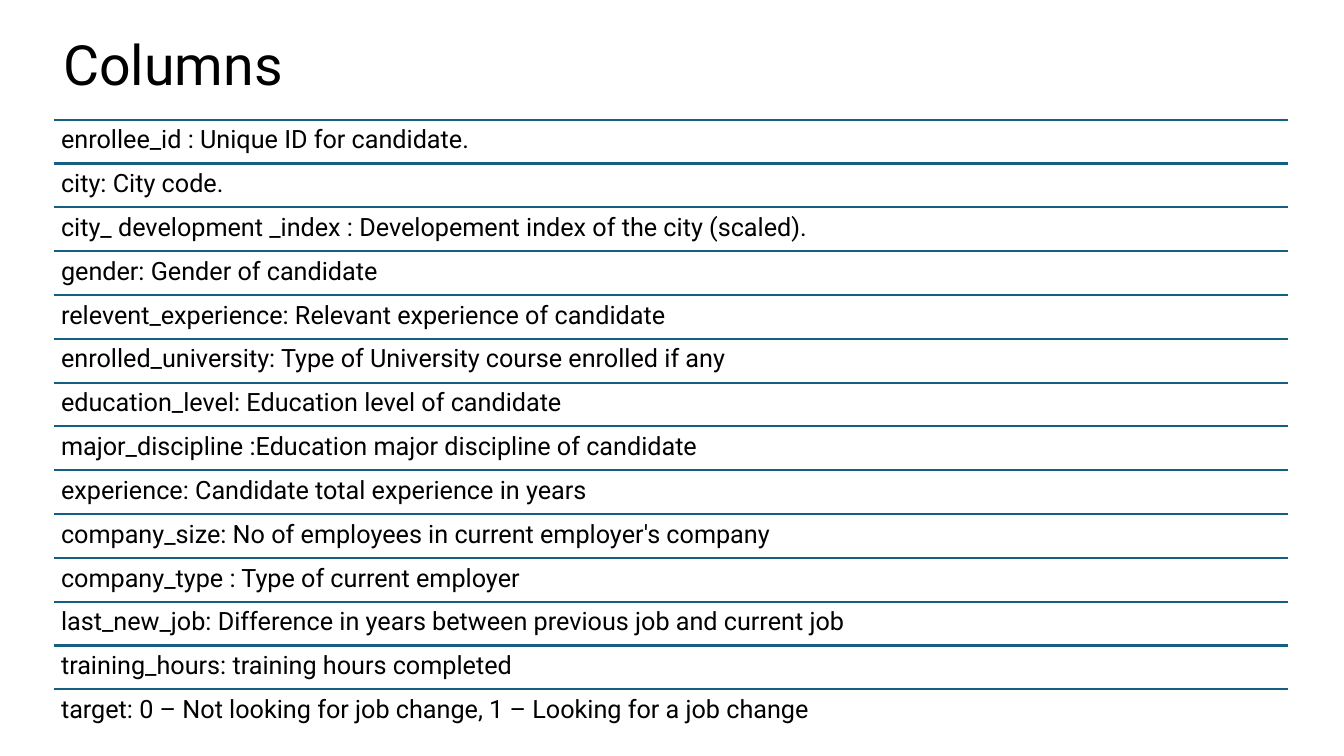
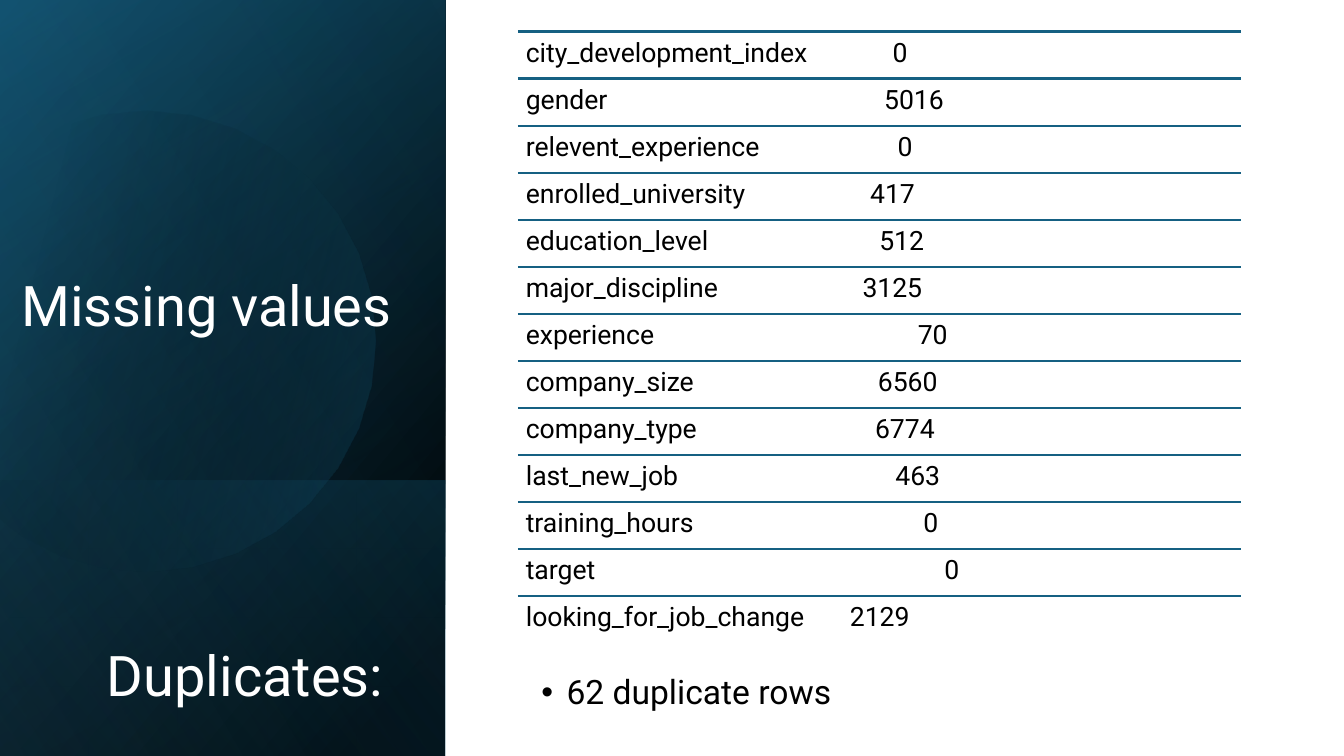
"""Build the dataset columns slide and the missing values slide."""
from dataclasses import dataclass
from math import cos, radians, sin

from lxml.etree import SubElement
from pptx import Presentation
from pptx.dml.color import RGBColor
from pptx.enum.shapes import MSO_CONNECTOR, MSO_SHAPE
from pptx.enum.text import MSO_ANCHOR, MSO_AUTO_SIZE, PP_ALIGN
from pptx.oxml.ns import qn
from pptx.util import Pt


@dataclass(frozen=True)
class Theme:
    font: str = "Roboto"
    black: str = "000000"
    white: str = "FFFFFF"
    blue: str = "156082"
    deep_blue: str = "104862"
    sky: str = "46B1E1"
    columns_title_size: float = 39.6
    title_size: float = 40
    columns_size: float = 18
    missing_size: float = 19
    bullet_size: float = 24
    rule_width: float = 1.5


theme = Theme()


def write(shape, text, bounds, size, color=theme.black, anchor=MSO_ANCHOR.MIDDLE,
          align=PP_ALIGN.LEFT):
    shape.left, shape.top, shape.width, shape.height = [Pt(length) for length in bounds]
    frame = shape.text_frame
    frame.word_wrap = True
    frame.auto_size = MSO_AUTO_SIZE.NONE
    frame.vertical_anchor = anchor
    frame.text = text
    para = frame.paragraphs[0]
    para.alignment = align
    para.line_spacing = 0.9
    para.space_before = Pt(0)
    span = para.runs[0]
    span.font.name = theme.font
    span.font.size = Pt(size)
    span.font.color.rgb = RGBColor.from_string(color)
    return para


def paint_gradient(shape, stops, angle):
    shape.shadow.inherit = False
    shape.line.fill.background()
    shape.fill.gradient()
    gradient = shape.element.spPr.find(qn("a:gradFill"))
    for child in list(gradient):
        gradient.remove(child)
    gradient.set("rotWithShape", "1")
    stop_list = SubElement(gradient, qn("a:gsLst"))
    for position, color, opacity in stops:
        stop = SubElement(stop_list, qn("a:gs"), pos=str(position * 1000))
        tint = SubElement(stop, qn("a:srgbClr"), val=color)
        if opacity < 100:
            SubElement(tint, qn("a:alpha"), val=str(opacity * 1000))
    SubElement(gradient, qn("a:lin"), ang=str(angle * 60000), scaled="0")


deck = Presentation()
deck.slide_width = Pt(960)
deck.slide_height = Pt(540)

columns_page = deck.slides.add_slide(deck.slide_layouts.get_by_name("Title Only"))
write(columns_page.shapes.title, "Columns", (38, 23.5, 828, 49), theme.columns_title_size)

missing_page = deck.slides.add_slide(deck.slide_layouts.get_by_name("Title and Content"))
shapes = missing_page.shapes

backdrop = shapes.add_shape(MSO_SHAPE.RECTANGLE, 0, 0, deck.slide_width, deck.slide_height)
backdrop.shadow.inherit = False
backdrop.fill.solid()
backdrop.fill.fore_color.rgb = RGBColor.from_string(theme.white)
backdrop.line.fill.background()

panel_width = 318
strip_top = 343
wash_layers = [
    (0, [(8, theme.black, 100), (100, theme.deep_blue, 100)], 50),
    (0, [(0, theme.black, 0), (99, theme.blue, 46)], 30),
    (strip_top, [(2, theme.blue, 29), (100, theme.black, 30)], 130),
    (0, [(0, theme.black, 0), (99, theme.sky, 11)], 120),
]
for top, stops, angle in wash_layers:
    height = 540 - top
    wash = shapes.add_shape(
        MSO_SHAPE.RECTANGLE, Pt((panel_width - height) / 2),
        Pt(top + (height - panel_width) / 2), Pt(height), Pt(panel_width))
    wash.element.spPr.find(qn("a:xfrm")).set("flipH", "1")
    wash.rotation = 90
    paint_gradient(wash, stops, angle)

    if top == strip_top:
        center_x, center_y, radius = 103, 240.5, 164.5
        arc = [radians(-118 + 268 * step / 24) for step in range(25)]
        points = [(Pt(center_x + radius * cos(turn)), Pt(center_y + radius * sin(turn)))
                  for turn in arc]
        builder = shapes.build_freeform(*points[0])
        builder.add_line_segments(points[1:], close=True)
        disc = builder.convert_to_shape()
        disc.rotation = 343.9
        paint_gradient(disc, [(29, theme.black, 0), (100, theme.blue, 43)], 30)

for placeholder in list(missing_page.placeholders):
    shapes.element.append(placeholder.element)

write(shapes.title, "Missing values", (-1, 167.5, 297, 78), theme.title_size,
      theme.white, MSO_ANCHOR.BOTTOM, PP_ALIGN.CENTER)
write(shapes.add_textbox(0, 0, 0, 0), "Duplicates:", (49, 392, 252, 118),
      theme.title_size, theme.white, MSO_ANCHOR.BOTTOM, PP_ALIGN.CENTER)
bullet = write(missing_page.placeholders[1], "62 duplicate rows", (379.5, 476.5, 414, 38),
               theme.bullet_size)
properties = bullet._p.get_or_add_pPr()
properties.set("marL", str(Pt(18)))
properties.set("indent", str(Pt(-18)))
SubElement(properties, qn("a:buFont"), typeface="Arial")
SubElement(properties, qn("a:buChar"), char="•")

columns = [
    "enrollee_id : Unique ID for candidate.",
    "city: City code.",
    "city_ development _index : Developement index of the city (scaled).",
    "gender: Gender of candidate",
    "relevent_experience: Relevant experience of candidate",
    "enrolled_university: Type of University course enrolled if any",
    "education_level: Education level of candidate",
    "major_discipline :Education major discipline of candidate",
    "experience: Candidate total experience in years",
    "company_size: No of employees in current employer's company",
    "company_type : Type of current employer",
    "last_new_job: Difference in years between previous job and current job",
    "training_hours: training hours completed",
    "target: 0 – Not looking for job change, 1 – Looking for a job change",
]
missing_counts = [
    ("city_development_index", 0, 262),
    ("gender", 5016, 256),
    ("relevent_experience", 0, 265.5),
    ("enrolled_university", 417, 246),
    ("education_level", 512, 252.5),
    ("major_discipline", 3125, 240.5),
    ("experience", 70, 280),
    ("company_size", 6560, 251.5),
    ("company_type", 6774, 249.5),
    ("last_new_job", 463, 264),
    ("training_hours", 0, 284),
    ("target", 0, 299),
    ("looking_for_job_change", 2129, 231.5),
]
ruled_lists = [
    (columns_page, 38.3, 85.5, 882, 31.3, 5.3, theme.columns_size,
     [(text, None) for text in columns]),
    (missing_page, 370, 22.5, 516.3, 33.6, 5.6, theme.missing_size,
     [(f"{name}\t{count}", stop) for name, count, stop in missing_counts]),
]
for page, left, first_top, width, pitch, inset, size, rows in ruled_lists:
    for index, (text, tab_stop) in enumerate(rows):
        top = first_top + index * pitch
        rule = page.shapes.add_connector(
            MSO_CONNECTOR.STRAIGHT, Pt(left), Pt(top), Pt(left + width), Pt(top))
        rule.line.color.rgb = RGBColor.from_string(theme.blue)
        rule.line.width = Pt(theme.rule_width)
        SubElement(rule.element.spPr, qn("a:effectLst"))

        box = page.shapes.add_textbox(0, 0, 0, 0)
        para = write(box, text, (left, top, width, pitch), size, anchor=MSO_ANCHOR.TOP)
        frame = box.text_frame
        frame.margin_left = frame.margin_right = Pt(inset)
        frame.margin_top = frame.margin_bottom = Pt(inset)
        if tab_stop:
            tabs = SubElement(para._p.get_or_add_pPr(), qn("a:tabLst"))
            SubElement(tabs, qn("a:tab"), pos=str(Pt(tab_stop)), algn="l")

deck.save("out.pptx")
